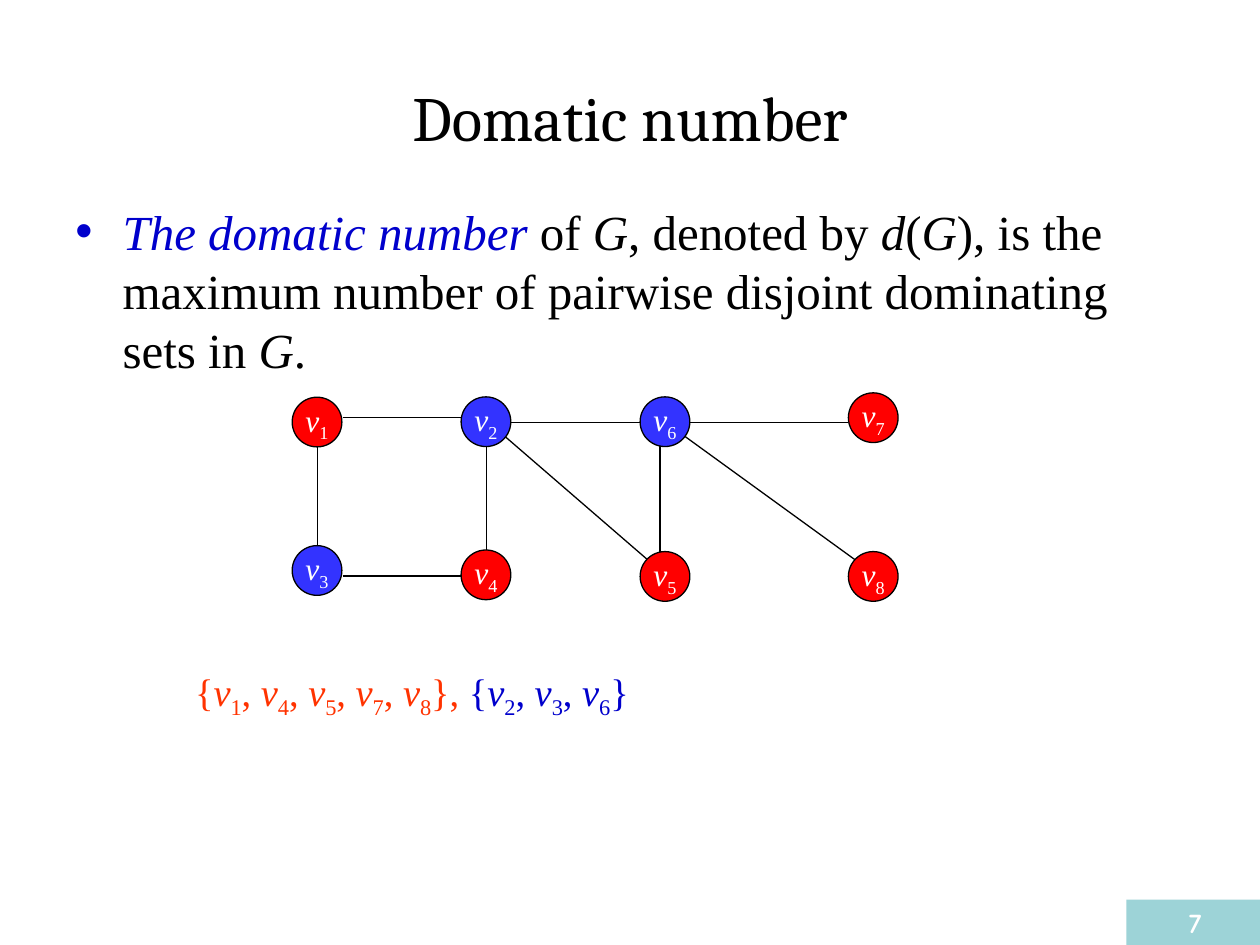
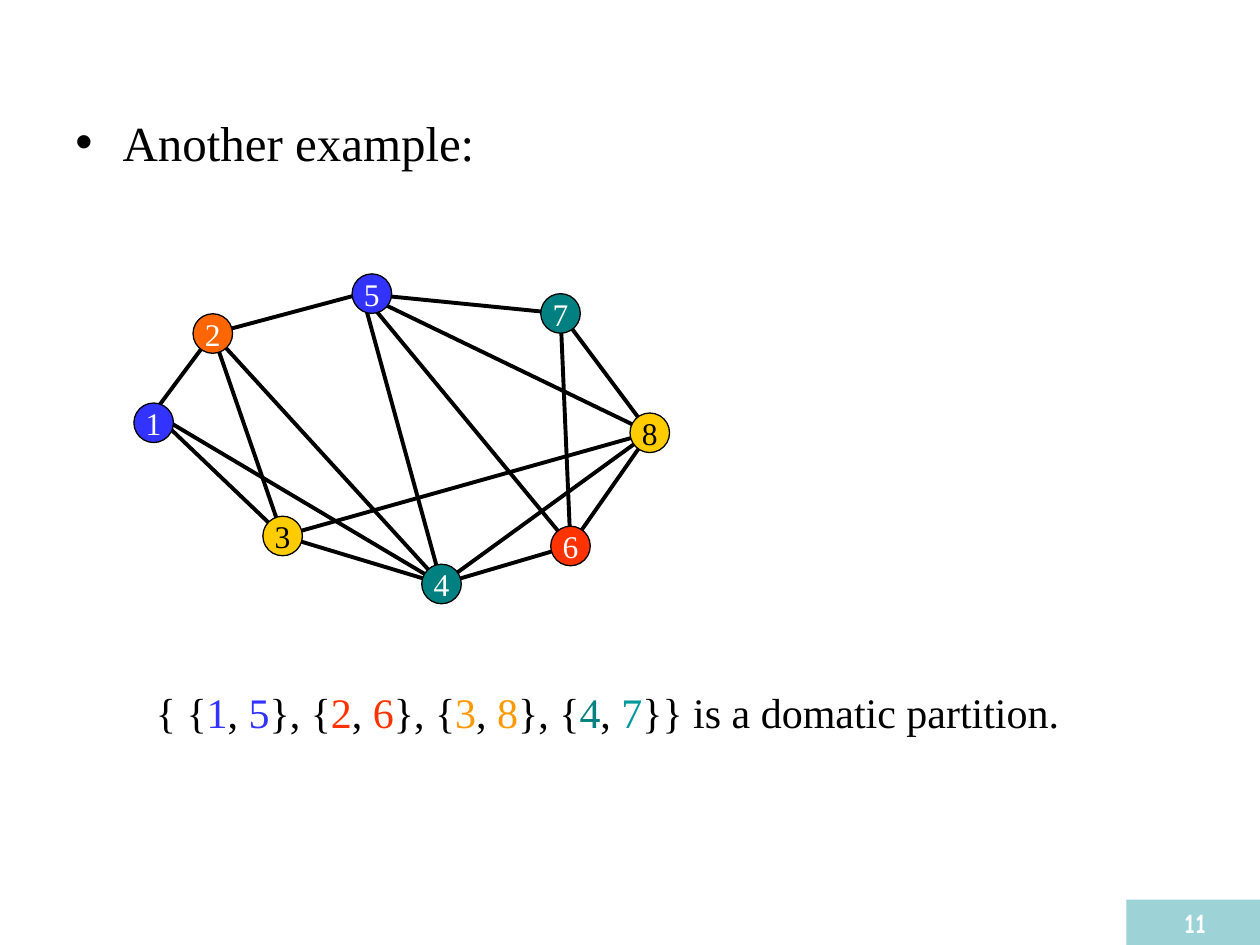
from lxml import etree
from pptx import Presentation
from pptx.dml.color import RGBColor
from pptx.enum.shapes import MSO_CONNECTOR, MSO_SHAPE
from pptx.enum.text import MSO_ANCHOR, PP_ALIGN
from pptx.oxml.ns import qn
from pptx.util import Pt

LINE = MSO_CONNECTOR.STRAIGHT
OVAL, RECTANGLE = MSO_SHAPE.OVAL, MSO_SHAPE.RECTANGLE
TOP, MIDDLE = MSO_ANCHOR.TOP, MSO_ANCHOR.MIDDLE
LEFT, CENTER = PP_ALIGN.LEFT, PP_ALIGN.CENTER

BODY_FONT, TITLE_FONT, NUMBER_FONT = "Times New Roman", "Cambria", "Comic Neue"
BLACK, WHITE, BAND = "000000", "FFFFFF", "9DD3D7"
NAVY, BLUE, RED, VERMILION = "0000CC", "3333FF", "FF0000", "FF3300"
ORANGE, AMBER, YELLOW = "FF6600", "FF9900", "FFCC00"
TEAL, LIGHT_TEAL = "008080", "009999"
ITALIC, SUBSCRIPT = "italic", "subscript"

TITLE_BOX = (36, 21.6, 648, 90)
BAND_BOX = (643.7, 514, 78.5, 26)


def rgb(color):
    return RGBColor.from_string(color)


def points(values):
    return [Pt(value) for value in values]


def write_runs(shape, runs, size, font=BODY_FONT, align=LEFT, anchor=TOP, bold=False):
    """Fill a shape with one paragraph of (text, color, style) runs."""
    frame = shape.text_frame
    frame.word_wrap = True
    frame.vertical_anchor = anchor
    paragraph = frame.paragraphs[0]
    paragraph.alignment = align
    for text, color, style in runs:
        run = paragraph.add_run()
        run.text = text
        run.font.name = font
        run.font.size = Pt(size)
        run.font.bold = bold
        run.font.italic = style == ITALIC
        run.font.color.rgb = rgb(color)
        if style == SUBSCRIPT:
            run.font._element.set("baseline", "-25000")
    return paragraph


def add_text(slide, box, runs, size, **options):
    return write_runs(slide.shapes.add_textbox(*points(box)), runs, size, **options)


def add_filled(slide, preset, box, fill):
    shape = slide.shapes.add_shape(preset, *points(box))
    shape.shadow.inherit = False
    shape.fill.solid()
    shape.fill.fore_color.rgb = rgb(fill)
    shape.line.fill.background()
    return shape


def add_title(slide, text):
    add_text(slide, TITLE_BOX, [(text, BLACK, None)], 36,
             font=TITLE_FONT, align=CENTER, anchor=MIDDLE)


def add_bullet(slide, box, runs):
    """Place a bulleted paragraph whose bullet takes the first run's color."""
    paragraph = add_text(slide, box, runs, 28)
    properties = paragraph._p.get_or_add_pPr()
    properties.set("marL", str(Pt(27)))
    properties.set("indent", str(Pt(-27)))
    bullet_color = etree.SubElement(properties, qn("a:buClr"))
    etree.SubElement(bullet_color, qn("a:srgbClr"), val=runs[0][1])
    etree.SubElement(properties, qn("a:buFont"), typeface="Arial")
    etree.SubElement(properties, qn("a:buChar"), char="•")


def add_number_band(slide, number):
    band = add_filled(slide, RECTANGLE, BAND_BOX, BAND)
    write_runs(band, [(str(number), WHITE, None)], 16,
               font=NUMBER_FONT, align=CENTER, bold=True)


def add_edge(slide, origin, start, end, width):
    left, top = origin
    edge = slide.shapes.add_connector(
        LINE, *points((left + start[0], top + start[1], left + end[0], top + end[1])))
    edge.line.color.rgb = rgb(BLACK)
    edge.line.width = Pt(width)
    etree.SubElement(edge._element.spPr, qn("a:effectLst"))


def add_node(slide, origin, position, diameter, fill, runs):
    left, top = origin
    box = (left + position[0], top + position[1], diameter, diameter)
    node = add_filled(slide, OVAL, box, fill)
    node.line.color.rgb = rgb(BLACK)
    node.line.width = Pt(0.75)
    write_runs(node, runs, 18, align=CENTER, anchor=MIDDLE)
    frame = node.text_frame
    frame.word_wrap = False
    frame.margin_left = frame.margin_right = 0
    frame.margin_top = frame.margin_bottom = 0


def vertex(number, color):
    return [("v", color, ITALIC), (str(number), color, SUBSCRIPT)]


def vertex_set(numbers, color, ending):
    runs = [("{", color, None)]
    for index, number in enumerate(numbers):
        if index:
            runs.append((", ", color, None))
        runs += vertex(number, color)
    return runs + [(ending, color, None)]


def add_two_set_graph(slide, origin):
    diameter = 28.4
    columns = (0, 96.5, 198.8, 317.8)
    nodes = {1: (0, 3, RED), 2: (1, 2.8, BLUE), 3: (0, 87.8, BLUE), 4: (1, 90.3, RED),
             5: (2, 91.2, RED), 6: (2, 2.8, BLUE), 7: (3, 0.5, RED), 8: (3, 91.2, RED)}
    edges = [
        ((28.8, 14.5), (96.5, 14.5)),
        ((28.8, 105.2), (96.5, 105.2)),
        ((14.4, 29.4), (14.4, 92)),
        ((110.9, 31.6), (110.9, 94.2)),
        ((210.2, 28.7), (210.2, 91.4)),
        ((119.6, 23.7), (204.5, 97.1)),
        ((125.3, 17.6), (204.5, 17.6)),
        ((221.1, 23), (323.3, 97.1)),
        ((226.8, 17.6), (317.8, 17.6)),
    ]
    for start, end in edges:
        add_edge(slide, origin, start, end, 0.75)
    for number, (column, top, fill) in nodes.items():
        add_node(slide, origin, (columns[column], top), diameter, fill,
                 vertex(number, WHITE))


def add_four_set_graph(slide, origin):
    diameter = 22.6
    nodes = {1: (0.5, 74.3, BLUE), 2: (34.3, 23.3, ORANGE), 3: (74.2, 139, YELLOW),
             4: (165, 166.4, TEAL), 5: (125.2, 0.5, BLUE), 6: (238.7, 144.7, VERMILION),
             7: (233, 11.8, TEAL), 8: (284, 80, YELLOW)}
    edge_shifts = {1: (0, -5.7), 5: (-5.7, 0)}
    neighbors = {1: (2, 3, 4), 2: (3, 4, 5), 3: (4, 8), 4: (5, 6, 8),
                 5: (6, 7, 8), 6: (7, 8), 7: (8,)}
    ends = {}
    for number, (left, top, _) in nodes.items():
        shift_x, shift_y = edge_shifts.get(number, (0, 0))
        ends[number] = (left + diameter / 2 + shift_x, top + diameter / 2 + shift_y)
    for number, others in neighbors.items():
        for other in others:
            add_edge(slide, origin, ends[number], ends[other], 2.25)
    for number, (left, top, fill) in nodes.items():
        color = BLACK if fill == YELLOW else WHITE
        add_node(slide, origin, (left, top), diameter, fill, [(str(number), color, None)])


def partition_runs(pairs):
    """Color each member of the pairs and keep the punctuation black."""
    runs = []
    opening = "{ {"
    for (first, first_color), (second, second_color) in pairs:
        runs += [(opening, BLACK, None), (first, first_color, None),
                 (", ", BLACK, None), (second, second_color, None)]
        opening = "}, {"
    return runs + [("}} is a domatic partition.", BLACK, None)]


def build_definition_slide(slide):
    add_title(slide, "Domatic number")
    add_bullet(slide, (36, 111.6, 648, 370.8), [
        ("The domatic number", NAVY, ITALIC),
        (" of ", BLACK, None),
        ("G", BLACK, ITALIC),
        (", denoted by ", BLACK, None),
        ("d", BLACK, ITALIC),
        ("(", BLACK, None),
        ("G", BLACK, ITALIC),
        ("), is the maximum number of pairwise disjoint dominating sets in ", BLACK, None),
        ("G", BLACK, ITALIC),
        (".", BLACK, None),
    ])
    add_two_set_graph(slide, (167, 224))
    add_text(slide, (104.4, 378, 306, 37.4),
             vertex_set((1, 4, 5, 7, 8), VERMILION, "}, ") + vertex_set((2, 3, 6), NAVY, "}"),
             22)
    add_number_band(slide, 7)


def build_example_slide(slide):
    add_bullet(slide, (36, 60.5, 648, 421.9), [("Another example:", BLACK, None)])
    add_four_set_graph(slide, (76, 156))
    add_text(slide, (82, 388.8, 538.6, 36), partition_runs([
        (("1", BLUE), ("5", BLUE)),
        (("2", VERMILION), ("6", VERMILION)),
        (("3", AMBER), ("8", AMBER)),
        (("4", TEAL), ("7", LIGHT_TEAL)),
    ]), 24)
    add_number_band(slide, 11)


def main():
    presentation = Presentation()
    presentation.slide_width, presentation.slide_height = Pt(720), Pt(540)
    blank = presentation.slide_layouts[6]
    for build in (build_definition_slide, build_example_slide):
        build(presentation.slides.add_slide(blank))
    presentation.save("out.pptx")


if __name__ == "__main__":
    main()
